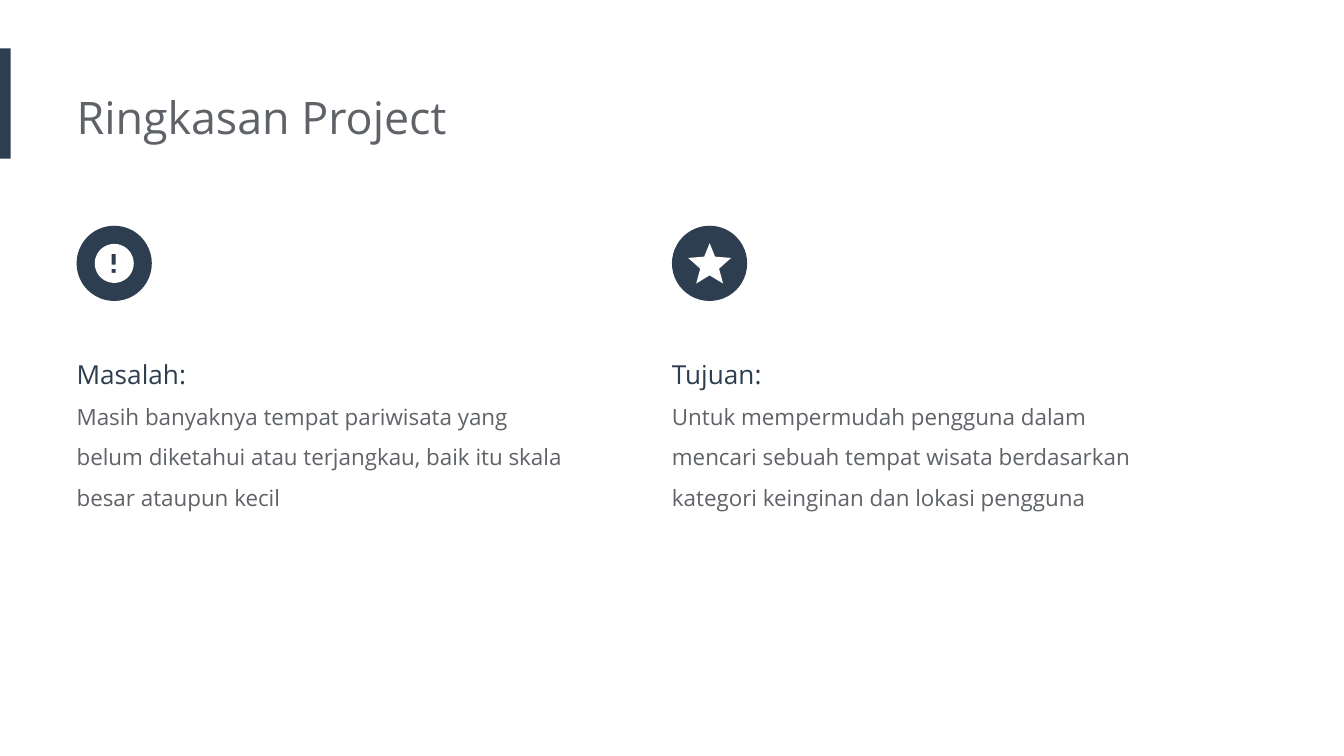
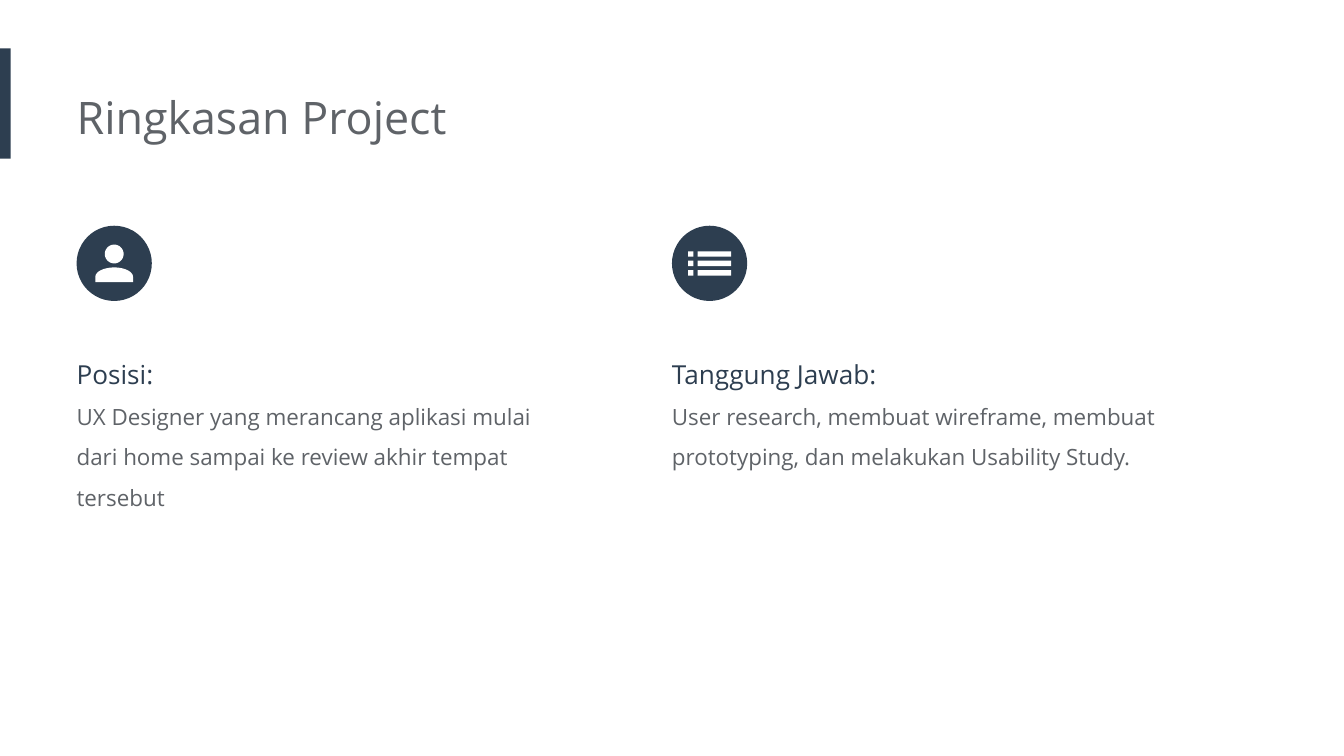
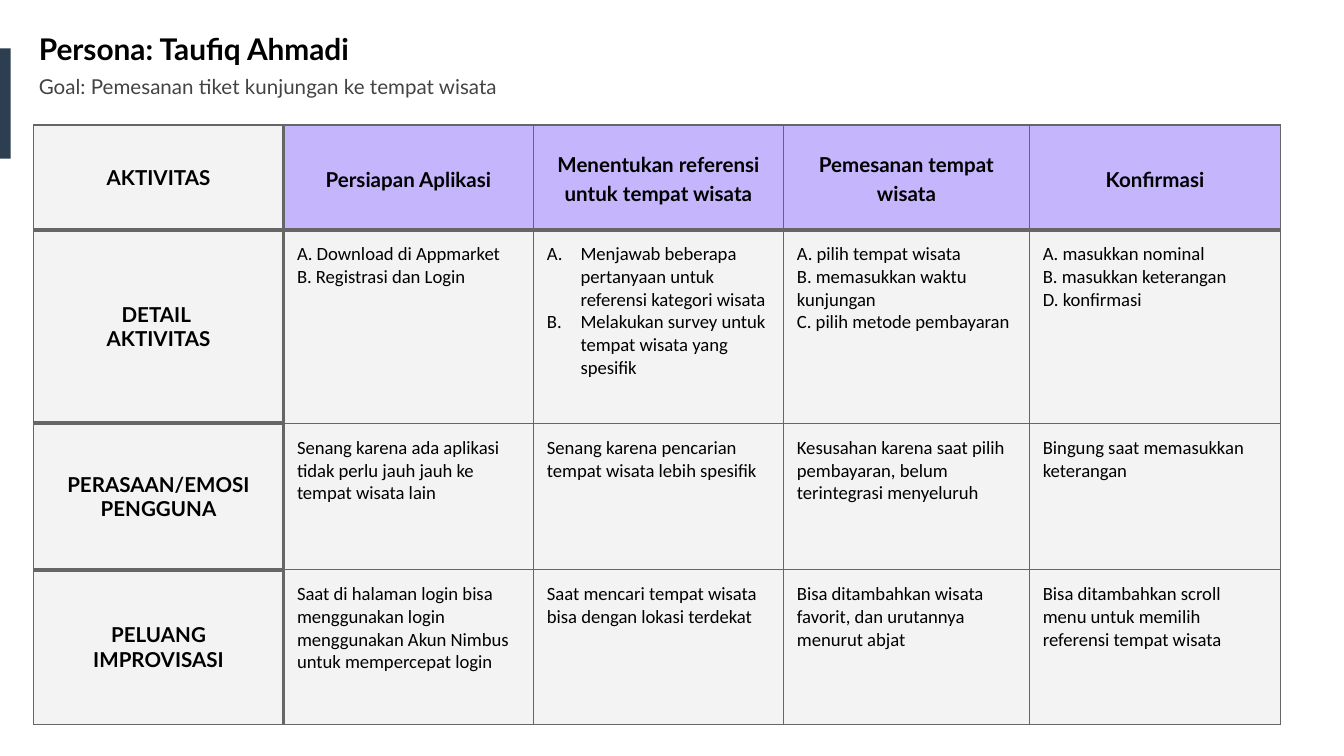
from math import cos, pi, sin

from lxml.etree import SubElement
from pptx import Presentation
from pptx.dml.color import RGBColor
from pptx.enum.shapes import MSO_SHAPE
from pptx.enum.text import MSO_ANCHOR, MSO_AUTO_SIZE, PP_ALIGN
from pptx.oxml import parse_xml
from pptx.oxml.ns import nsdecls, qn
from pptx.util import Inches, Pt

COLORS = {
    "navy": "2D3E50",
    "gray": "5F6368",
    "white": "FFFFFF",
    "black": "000000",
    "dark": "434343",
    "rule": "666666",
    "pale": "F3F3F3",
    "violet": "C4B5FD",
}

TITLE = "Ringkasan Project"
TOPICS = [
    [
        ("alert", "Masalah:", "Masih banyaknya tempat pariwisata yang belum diketahui "
         "atau terjangkau, baik itu skala besar ataupun kecil"),
        ("star", "Tujuan:", "Untuk mempermudah pengguna dalam mencari sebuah tempat "
         "wisata berdasarkan kategori keinginan dan lokasi pengguna"),
    ],
    [
        ("person", "Posisi:", "UX Designer yang merancang aplikasi mulai dari home "
         "sampai ke review akhir tempat tersebut"),
        ("list", "Tanggung Jawab:", "User research, membuat wireframe, membuat "
         "prototyping, dan melakukan Usability Study."),
    ],
]

NAME = "Persona: Taufiq Ahmadi"
GOAL = "Goal: Pemesanan tiket kunjungan ke tempat wisata"
JOURNEY = [
    ["AKTIVITAS", "Persiapan Aplikasi", "Menentukan referensi untuk tempat wisata",
     "Pemesanan tempat wisata", "Konfirmasi"],
    ["DETAIL \nAKTIVITAS",
     "A. Download di Appmarket\nB. Registrasi dan Login",
     "Menjawab beberapa pertanyaan untuk referensi kategori wisata\n"
     "Melakukan survey untuk tempat wisata yang spesifik",
     "A. pilih tempat wisata\nB. memasukkan waktu kunjungan\nC. pilih metode pembayaran",
     "A. masukkan nominal\nB. masukkan keterangan\nD. konfirmasi"],
    ["PERASAAN/EMOSI\nPENGGUNA",
     "Senang karena ada aplikasi tidak perlu jauh jauh ke tempat wisata lain",
     "Senang karena pencarian tempat wisata lebih spesifik",
     "Kesusahan karena saat pilih pembayaran, belum terintegrasi menyeluruh",
     "Bingung saat memasukkan keterangan"],
    ["PELUANG IMPROVISASI",
     "Saat di halaman login bisa menggunakan login menggunakan Akun Nimbus "
     "untuk mempercepat login",
     "Saat mencari tempat wisata bisa dengan lokasi terdekat",
     "Bisa ditambahkan wisata favorit, dan urutannya menurut abjat",
     "Bisa ditambahkan scroll menu untuk memilih referensi tempat wisata"],
]
WIDTHS = [1.86, 1.86, 1.86, 1.83, 1.87]
HEIGHTS = [0.78, 1.44, 1.09, 1.15]
NUMBERED = (1, 2)
LEFTS = [0.57, 5]
DISC = 0.56
MID = DISC / 2


def arc(x, y, wide, high, start=0, end=2 * pi, steps=40):
    turns = [start + (end - start) * i / steps for i in range(steps + 1)]
    return [(x + wide * cos(t), y + high * sin(t)) for t in turns]


def box(x, y, wide, high):
    return [(x, y), (x + wide, y), (x + wide, y + high), (x, y + high)]


ICONS = {
    "alert": [arc(MID, MID, 0.29 / 2, 0.29 / 2), box(0.26, 0.21, 0.03, 0.08),
              box(0.26, 0.32, 0.03, 0.03)],
    "star": [[(0.28, 0.37), (0.38, 0.43), (0.35, 0.32), (0.44, 0.24), (0.32, 0.23),
              (0.28, 0.13), (0.24, 0.23), (0.12, 0.24), (0.21, 0.32), (0.18, 0.43)]],
    "person": [arc(MID, 0.21, 0.07, 0.07),
               arc(MID, 0.38, 0.14, 0.07, pi, 2 * pi) + [(0.42, 0.42), (0.14, 0.42)]],
    "list": [box(x, 0.19 + 0.07 * row, wide, 0.04)
             for row in range(3) for x, wide in [(0.12, 0.04), (0.19, 0.25)]],
}


def color(name):
    return RGBColor.from_string(COLORS[name])


def paint(shape, name):
    shape.shadow.inherit = False
    shape.fill.solid()
    shape.fill.fore_color.rgb = color(name)
    shape.line.fill.background()


def style(para, face, size, name, bold=False):
    font = para.font
    font.name, font.size, font.bold = face, Pt(size), bold
    font.color.rgb = color(name)
    for run in para.runs:
        run.font.name, run.font.size, run.font.bold = face, Pt(size), bold
        run.font.color.rgb = color(name)


def add_text(slide, place, lines, left=0.1, grow=False, space=None):
    frame = slide.shapes.add_textbox(*map(Inches, place)).text_frame
    frame.word_wrap = True
    frame.auto_size = MSO_AUTO_SIZE.SHAPE_TO_FIT_TEXT if grow else MSO_AUTO_SIZE.NONE
    frame.margin_left = Inches(left)
    frame.margin_right = frame.margin_top = frame.margin_bottom = Inches(0.1)
    frame.text = "\n".join(line[0] for line in lines)
    for para, line in zip(frame.paragraphs, lines):
        style(para, *line[1:])
        if space:
            para.line_spacing = space
    return frame


def add_slide(deck):
    slide = deck.slides.add_slide(deck.slide_layouts[6])
    band = slide.shapes.add_shape(MSO_SHAPE.RECTANGLE, 0, Inches(0.36),
                                  Inches(0.08), Inches(0.82))
    paint(band, "navy")
    return slide


def add_icon(slide, left, top, parts):
    spots = [[(Inches(left + x), Inches(top + y)) for x, y in part] for part in parts]
    pen = slide.shapes.build_freeform(*spots[0][0])
    for i, part in enumerate(spots):
        if i:
            pen.move_to(*part[0])
        pen.add_line_segments(part[1:], close=True)
    paint(pen.convert_to_shape(), "white")


def add_topics(deck, topics):
    slide = add_slide(deck)
    add_text(slide, (0.57, 0.57, 6.73, 0.61),
             [(TITLE, "Open Sans", 24, "gray")], left=0, grow=True)
    top = 1.68
    for left, (icon, head, body) in zip(LEFTS, topics):
        add_text(slide, (left, 2.45, 3.77, 1.46),
                 [(head, "Open Sans", 14, "navy"), (body, "Open Sans", 12, "gray")],
                 left=0, grow=True, space=1.5)
        disc = slide.shapes.add_shape(MSO_SHAPE.OVAL, *map(Inches, (left, top, DISC, DISC)))
        paint(disc, "navy")
        add_icon(slide, left, top, ICONS[icon])


def add_edges(cell, row, col):
    last = len(JOURNEY) - 1
    heavy = {
        "L": col == 1,
        "R": col == 0,
        "T": row == 1 or (col == 0 and row > 1),
        "B": row == 0 or (col == 0 and row < last),
    }
    props = cell._tc.get_or_add_tcPr()
    for i, (side, thick) in enumerate(heavy.items()):
        props.insert(i, parse_xml(
            f'<a:ln{side} {nsdecls("a")} w="{Pt(2.25 if thick else 0.75)}">'
            f'<a:solidFill><a:srgbClr val="{COLORS["rule"]}"/></a:solidFill></a:ln{side}>'))


def add_number(para):
    props = para._p.get_or_add_pPr()
    props.set("marL", str(Inches(0.25)))
    props.set("indent", str(-Inches(0.25)))
    tint = SubElement(props, qn("a:buClr"))
    SubElement(tint, qn("a:srgbClr"), val=COLORS["black"])
    SubElement(props, qn("a:buAutoNum"), type="alphaUcPeriod")


def fill_cell(cell, row, col, text):
    label = row == 0 or col == 0
    cell.text_frame.text = text
    cell.margin_left = cell.margin_right = Inches(0.1)
    cell.margin_top = cell.margin_bottom = Inches(0.1)
    cell.vertical_anchor = MSO_ANCHOR.MIDDLE if label else MSO_ANCHOR.TOP
    cell.fill.solid()
    cell.fill.fore_color.rgb = color("violet" if row == 0 and col else "pale")
    for para in cell.text_frame.paragraphs:
        if (row, col) == NUMBERED:
            add_number(para)
        if label:
            para.alignment = PP_ALIGN.CENTER
            style(para, "Lato", 11, "black", True)
        else:
            style(para, "Calibri", 10, "black")
        if row == 0 and col:
            para.line_spacing = 1.15
    add_edges(cell, row, col)


def add_journey(deck):
    slide = add_slide(deck)
    add_text(slide, (0.19, 0.13, 9.28, 0.44), [(NAME, "Lato", 16, "black", True)])
    goal = add_text(slide, (0.19, 0.45, 9.28, 0.3), [(GOAL, "Lato", 11, "dark")])
    goal.paragraphs[0].space_after = Pt(3)
    place = (0.25, 0.93, sum(WIDTHS), sum(HEIGHTS))
    table = slide.shapes.add_table(len(HEIGHTS), len(WIDTHS), *map(Inches, place)).table
    for column, wide in zip(table.columns, WIDTHS):
        column.width = Inches(wide)
    for line, high in zip(table.rows, HEIGHTS):
        line.height = Inches(high)
    for row, texts in enumerate(JOURNEY):
        for col, text in enumerate(texts):
            fill_cell(table.cell(row, col), row, col, text)


def main():
    deck = Presentation()
    deck.slide_width = Inches(10)
    deck.slide_height = deck.slide_width * 9 // 16
    for topics in TOPICS:
        add_topics(deck, topics)
    add_journey(deck)
    deck.save("out.pptx")


if __name__ == "__main__":
    main()
